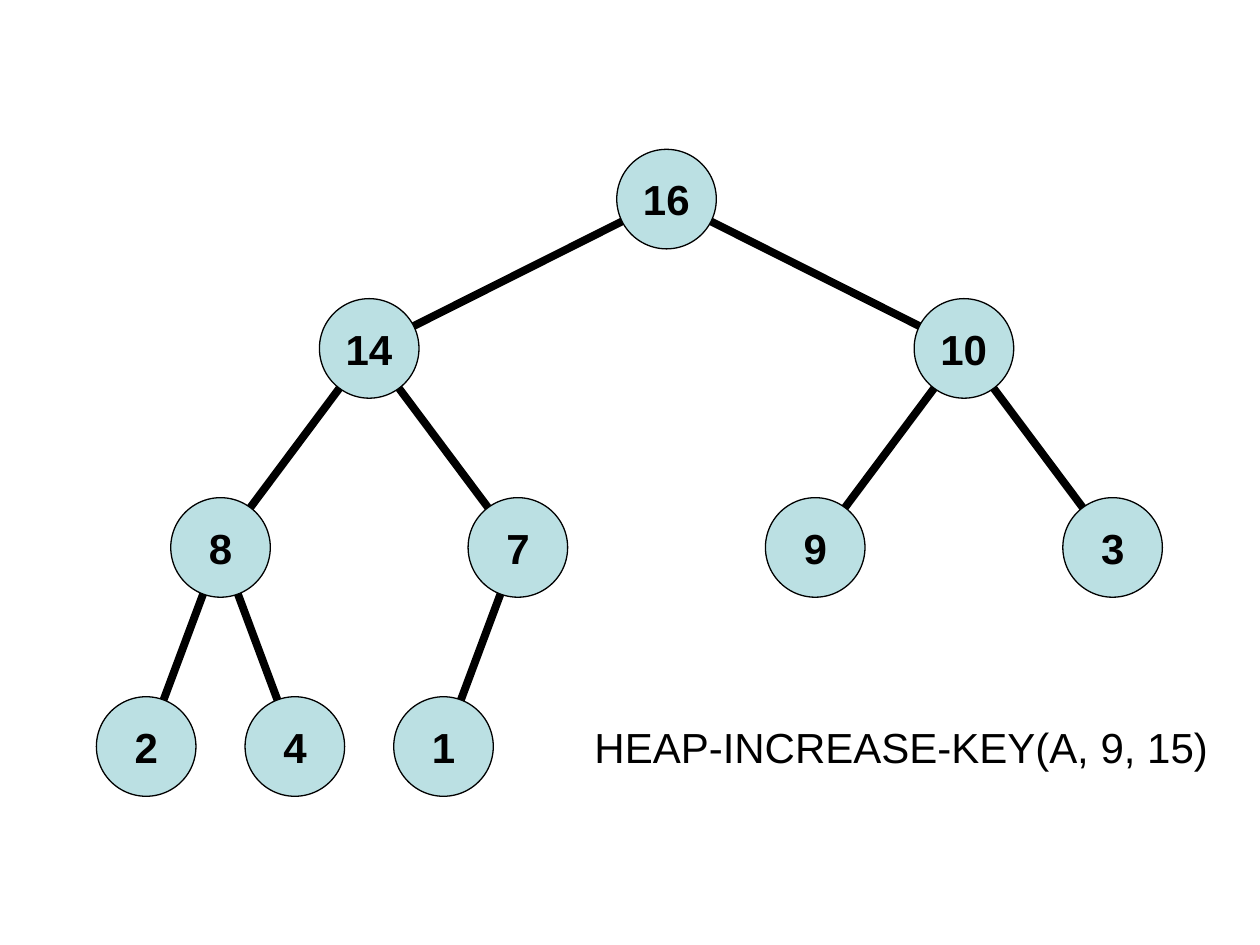
import pptx
import pptx.dml.color
import pptx.enum.shapes
import pptx.enum.text
import pptx.util
from lxml import etree

HEAP = [16, 14, 10, 8, 7, 9, 3, 2, 4, 1]
CAPTION = "HEAP-INCREASE-KEY(A, 9, 15)"

THEME = {
    "font": "Arial",
    "text_size": 24,
    "ink": pptx.dml.color.RGBColor.from_string("000000"),
    "node": pptx.dml.color.RGBColor.from_string("BBE0E3"),
    "edge_width": 4.5,
    "outline_width": 0.75,
}

SLIDE_WIDTH, SLIDE_HEIGHT = 10, 7.5
DIAMETER = 0.79
LEFT, TOP = 1.16, 1.58            # centre of column 0 and of the root row
COLUMN = 0.59
LEVEL_ROWS = [0, 1.5, 3.5, 5.5]   # in node diameters below the root
TEXT_HEIGHT = 0.5
DIGIT_WIDTH = 0.19
CAPTION_BOX = (4.62, 5.68, 5.07, TEXT_HEIGHT)


def inches(*lengths):
    return [pptx.util.Inches(length) for length in lengths]


def node_centre(index):
    """Centre of a heap node; each parent sits midway above its two child slots."""
    level = (index + 1).bit_length() - 1
    place = index + 1 - 2 ** level
    column = 2 ** (len(LEVEL_ROWS) - 1 - level) * (2 * place + 1) - 1
    return LEFT + column * COLUMN, TOP + LEVEL_ROWS[level] * DIAMETER


def box_around(centre, width, height):
    return centre[0] - width / 2, centre[1] - height / 2, width, height


def add_edge(shapes, start, end):
    edge = shapes.add_connector(
        pptx.enum.shapes.MSO_CONNECTOR.STRAIGHT, *inches(*start, *end))
    edge.line.color.rgb = THEME["ink"]
    edge.line.width = pptx.util.Pt(THEME["edge_width"])
    properties = edge._element.spPr
    etree.SubElement(properties, pptx.oxml.ns.qn("a:effectLst"))


def add_text(shapes, box, text, bold, anchor):
    frame = shapes.add_textbox(*inches(*box)).text_frame
    frame.text = text
    frame.word_wrap = False
    frame.auto_size = pptx.enum.text.MSO_AUTO_SIZE.SHAPE_TO_FIT_TEXT
    frame.vertical_anchor = anchor
    font = frame.paragraphs[0].runs[0].font
    font.name = THEME["font"]
    font.size = pptx.util.Pt(THEME["text_size"])
    font.bold = bold
    font.color.rgb = THEME["ink"]


def add_node(shapes, centre, key):
    circle = shapes.add_shape(
        pptx.enum.shapes.MSO_SHAPE.OVAL,
        *inches(*box_around(centre, DIAMETER, DIAMETER)))
    circle.shadow.inherit = False
    circle.fill.solid()
    circle.fill.fore_color.rgb = THEME["node"]
    circle.line.color.rgb = THEME["ink"]
    circle.line.width = pptx.util.Pt(THEME["outline_width"])
    label = str(key)
    label_width = (len(label) + 1) * DIGIT_WIDTH
    add_text(shapes, box_around(centre, label_width, TEXT_HEIGHT), label,
             True, pptx.enum.text.MSO_ANCHOR.MIDDLE)


def main():
    presentation = pptx.Presentation()
    presentation.slide_width, presentation.slide_height = inches(
        SLIDE_WIDTH, SLIDE_HEIGHT)
    slide = presentation.slides.add_slide(presentation.slide_layouts[6])

    tree = slide.shapes.add_group_shape().shapes
    centres = [node_centre(index) for index in range(len(HEAP))]
    for index in reversed(range(1, len(HEAP))):
        add_edge(tree, centres[index], centres[(index - 1) // 2])
    for centre, key in reversed(list(zip(centres, HEAP))):
        add_node(tree, centre, key)

    add_text(slide.shapes, CAPTION_BOX, CAPTION, False,
             pptx.enum.text.MSO_ANCHOR.TOP)
    presentation.save("out.pptx")


if __name__ == "__main__":
    main()
